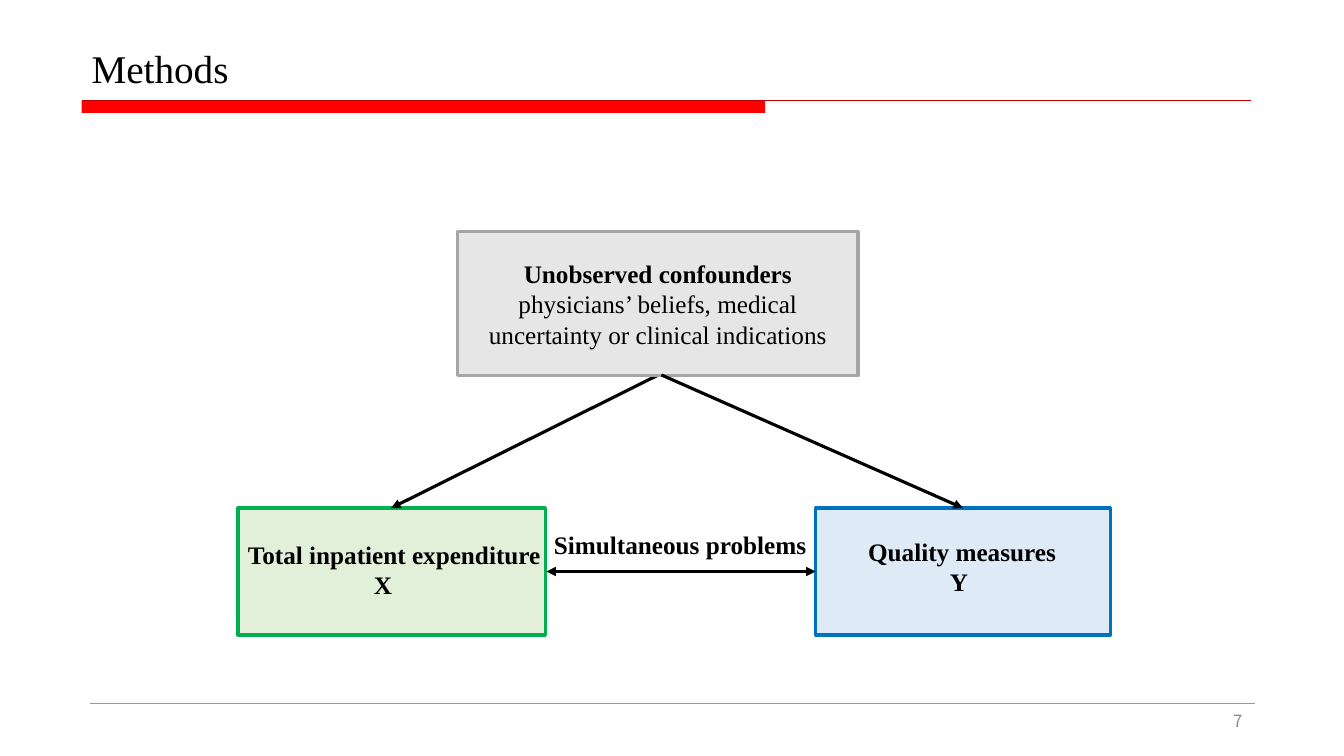
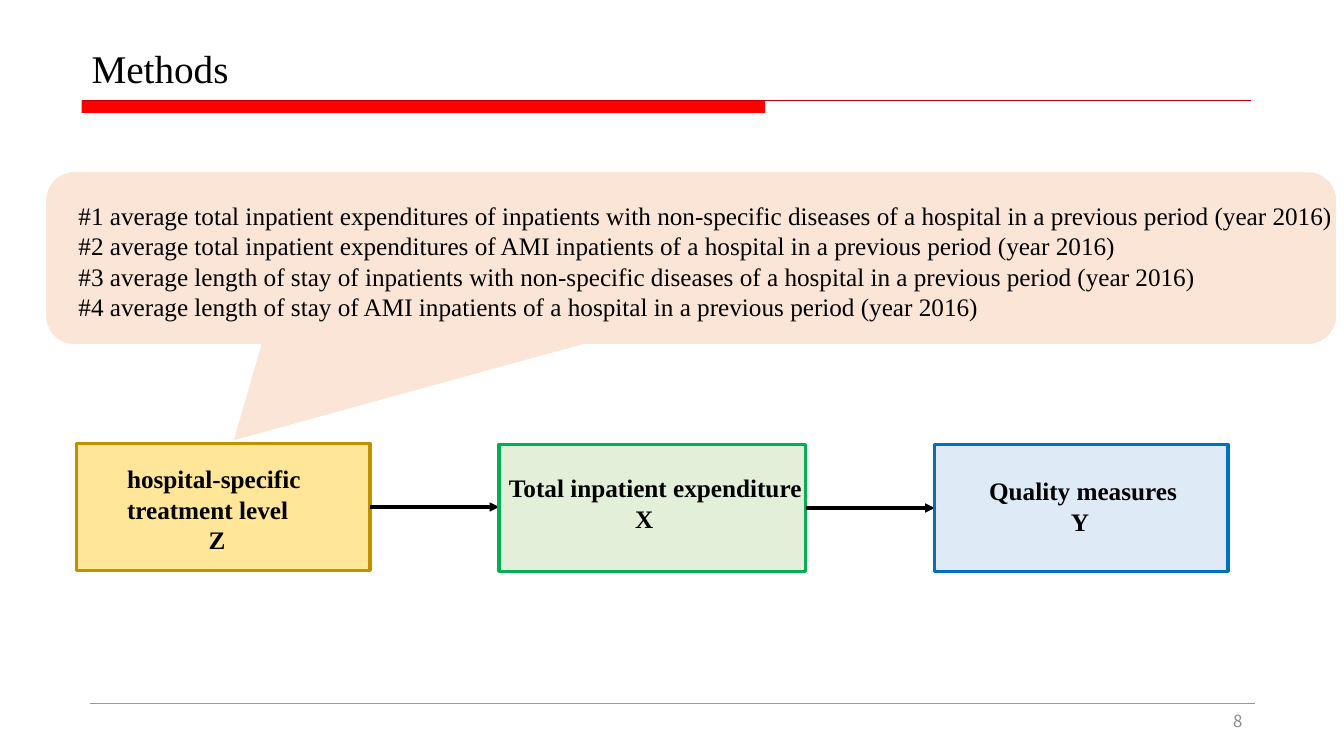
from pptx import Presentation
from pptx.dml.color import RGBColor
from pptx.enum.shapes import MSO_CONNECTOR as CONN, MSO_SHAPE as SHAPE
from pptx.enum.text import MSO_ANCHOR as ANCHOR, PP_ALIGN as ALIGN
from pptx.oxml.ns import qn
from pptx.util import Pt
from lxml import etree

PX = 9144  # EMU per px, 100 px to the inch
SERIF, SANS = "Times New Roman", "Noto Sans CJK SC"
BLACK, WHITE, RED, DARK_RED = "000000", "FFFFFF", "FF0000", "C00000"
RULE_GRAY, NUMBER_GRAY = "999999", "8C8C8C"
GRAY, GREEN = ("E7E6E6", "A6A6A6"), ("E2F0D9", "00B050")  # fill, outline
BLUE, YELLOW = ("DEEBF7", "0070C0"), ("FFE699", "BF9000")
PEACH = ("FBE5D6", WHITE)

EXPENDITURE = ["Total inpatient expenditure", "X"]
QUALITY = ["Quality measures", "Y"]
TREATMENT = ["hospital-specific treatment level", "Z"]
INSTRUMENTS = [
    "#1 average total inpatient expenditures of inpatients with non-specific diseases of a hospital in a previous period (year 2016)",
    "#2 average total inpatient expenditures of AMI inpatients of a hospital in a previous period (year 2016)",
    "#3 average length of stay of inpatients with non-specific diseases of a hospital in a previous period (year 2016)",
    "#4 average length of stay of AMI inpatients of a hospital in a previous period (year 2016)",
]


def emu(*lengths):
    return [n * PX for n in lengths]


def rgb(color):
    return RGBColor.from_string(color)


def write(sp, lines, size=18, font=SERIF, color=BLACK, bold=False,
          align=ALIGN.LEFT, anchor=ANCHOR.TOP, insets=(10, 5, 10, 5)):
    """Fill a shape with one paragraph per line."""
    tf = sp.text_frame
    tf.word_wrap = True
    tf.vertical_anchor = anchor
    tf.margin_left, tf.margin_top, tf.margin_right, tf.margin_bottom = emu(*insets)
    tf.text = "\n".join(lines)
    for p in tf.paragraphs:
        p.alignment = align
        f = p.runs[0].font
        f.size, f.name, f.bold = Pt(size), font, bold
        f.color.rgb = rgb(color)
    return tf


def textbox(s, box, lines, **style):
    return write(s.shapes.add_textbox(*emu(*box)), lines, **style)


def shape(s, kind, box, colors, width=2.25):
    sp = s.shapes.add_shape(kind, *emu(*box))
    fill, outline = colors
    sp.shadow.inherit = False
    sp.fill.solid()
    sp.fill.fore_color.rgb = rgb(fill)
    if outline:
        sp.line.color.rgb = rgb(outline)
        sp.line.width = Pt(width)
    else:
        sp.line.fill.background()
    return sp


def line(s, start, end, color=BLACK, width=2.25, ends=()):
    """Straight line; ends may hold headEnd and tailEnd, in that order."""
    c = s.shapes.add_connector(CONN.STRAIGHT, *emu(*start, *end))
    c.line.color.rgb = rgb(color)
    c.line.width = Pt(width)
    sppr = c._element.spPr
    for end_tag in ends:
        etree.SubElement(sppr.find(qn("a:ln")), qn(f"a:{end_tag}"), type="triangle")
    etree.SubElement(sppr, qn("a:effectLst"))


def arrow(s, start, end):
    line(s, start, end, ends=["tailEnd"])


def variable(s, box, colors, lines, left, top, indent):
    """Box with a variable's name and, indented below it, its symbol."""
    sp = shape(s, SHAPE.RECTANGLE, box, colors)
    tf = write(sp, lines, bold=True, insets=(left, top, 0, 0))
    tf.paragraphs[-1]._p.get_or_add_pPr().set("marL", str(indent * PX))


def new_slide(prs, title, number):
    """Slide with the shared background, title, bands and page number."""
    s = prs.slides.add_slide(prs.slide_layouts[6])
    s.background.fill.solid()
    s.background.fill.fore_color.rgb = rgb(WHITE)
    shape(s, SHAPE.RECTANGLE, (81, 100, 678, 12), (RED, None))
    line(s, (81, 100), (1241, 100), DARK_RED, 0.75)
    line(s, (89, 698), (1245, 698), RULE_GRAY, 0.25)
    tf = textbox(s, (81, 50, 1150, 40), [title], size=28, anchor=ANCHOR.MIDDLE)
    tf.paragraphs[0].line_spacing = 0.9
    textbox(s, (942, 695, 300, 40), [str(number)], size=12, font=SANS,
            color=NUMBER_GRAY, align=ALIGN.RIGHT, anchor=ANCHOR.MIDDLE)
    return s


def confounding(prs):
    s = new_slide(prs, "Methods", 7)
    # Two variables under their common confounders
    variable(s, (236, 504, 305, 126), GREEN, EXPENDITURE, 10, 31, 125)
    variable(s, (809, 504, 292, 126), BLUE, QUALITY, 52, 28, 81)
    arrow(s, (653, 372), (388, 504))
    sp = shape(s, SHAPE.RECTANGLE, (454, 230, 397, 143), GRAY)
    tf = write(sp, ["Unobserved confounders",
                    "physicians’ beliefs, medical uncertainty or clinical indications"],
               align=ALIGN.CENTER, anchor=ANCHOR.MIDDLE)
    tf.paragraphs[0].runs[0].font.bold = True
    arrow(s, (656, 372), (955, 504))
    # Mutual influence
    textbox(s, (340, 520, 669, 40), ["Simultaneous problems"], bold=True,
            align=ALIGN.CENTER)
    line(s, (542, 567), (809, 567), ends=["headEnd", "tailEnd"])


def instruments(prs):
    s = new_slide(prs, "Methods", 8)
    # Causal chain
    variable(s, (76, 440, 291, 126), YELLOW, TREATMENT, 50, 20, 81)
    arrow(s, (367, 503), (495, 503))
    variable(s, (495, 441, 304, 126), GREEN, EXPENDITURE, 10, 28, 125)
    arrow(s, (799, 504), (927, 504))
    variable(s, (927, 441, 291, 126), BLUE, QUALITY, 54, 31, 81)
    # Callout listing the instruments
    callout = shape(s, SHAPE.ROUNDED_RECTANGULAR_CALLOUT, (45, 170, 1281, 172), PEACH, 1)
    for i, value in enumerate((-0.355, 1.057, 0.167)):
        callout.adjustments[i] = value
    textbox(s, (68, 194, 1265, 131), INSTRUMENTS, insets=(10, 5, 0, 5))


def main():
    prs = Presentation()
    prs.slide_width, prs.slide_height = emu(1333, 750)
    confounding(prs)
    instruments(prs)
    prs.save("out.pptx")


if __name__ == "__main__":
    main()
